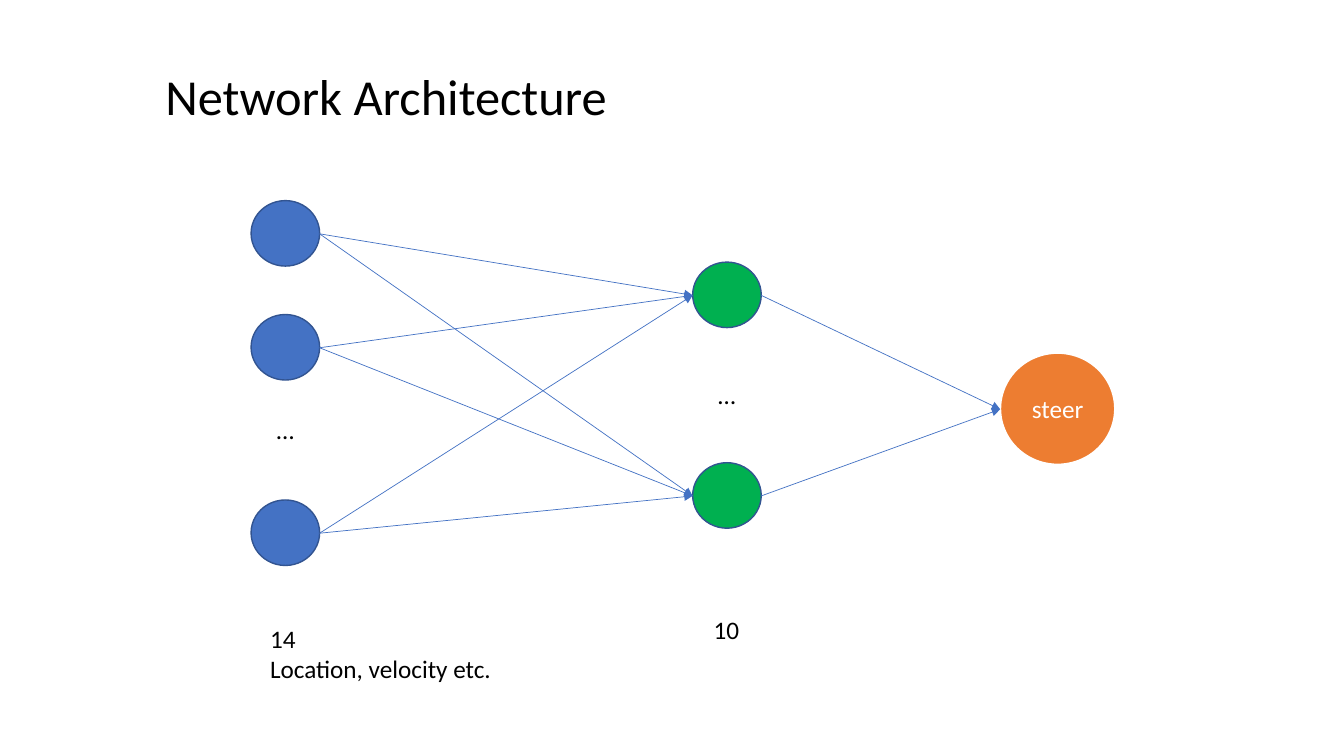
from pptx import Presentation
from pptx.dml.color import RGBColor
from pptx.enum.shapes import MSO_CONNECTOR, MSO_SHAPE
from pptx.enum.text import MSO_ANCHOR, MSO_AUTO_SIZE, PP_ALIGN
from pptx.oxml.ns import qn
from pptx.util import Pt
from lxml import etree

OVAL, RECT = MSO_SHAPE.OVAL, MSO_SHAPE.RECTANGLE
LINE = MSO_CONNECTOR.STRAIGHT
TOP, MID = MSO_ANCHOR.TOP, MSO_ANCHOR.MIDDLE
LEFT, MID_X = PP_ALIGN.LEFT, PP_ALIGN.CENTER

# Content: lengths in px, 100 to the inch
PX = 9144
COLORS = {"blue": "4472C4", "edge": "325491", "green": "00B050",
          "orange": "ED7D31", "white": "FFFFFF", "black": "000000"}
TITLE = ("Network Architecture", (154, 60, 667, 71))
NODE, DOTS, STEER = (68, 65), (114, 62), (114, 111)
# Each layer: left, node tops, top of the dots, fill
LAYERS = [(249, (199, 312, 496), 395, "blue"),
          (687, (260, 459), 360, "green")]
GOAL = ("steer", (992, 350))
NOTES = [(["14", "Location, velocity etc."], (258, 613, 303, 71)),
         (["10"], (698, 605, 68, 40))]


def emu(*nums):
    return [n * PX for n in nums]


def tint(name):
    return RGBColor.from_string(COLORS[name])


def write(shape, lines, size=18, color="black", align=LEFT, anchor=TOP):
    frame = shape.text_frame
    frame.word_wrap = True
    frame.auto_size = MSO_AUTO_SIZE.NONE
    frame.vertical_anchor = anchor
    frame.text = "\n".join(lines)
    for para in frame.paragraphs:
        para.alignment = align
        font = para.runs[0].font
        font.name, font.size = "Calibri", Pt(size)
        font.color.rgb = tint(color)


def draw(kind, box, fill, edge=None, width=1):
    shape = slide.shapes.add_shape(kind, *emu(*box))
    shape.shadow.inherit = False
    shape.fill.solid()
    shape.fill.fore_color.rgb = tint(fill)
    if edge:
        shape.line.color.rgb = tint(edge)
        shape.line.width = Pt(width)
    else:
        shape.line.fill.background()
    return shape


def link(start, end):
    line = slide.shapes.add_connector(LINE, *emu(*start, *end))
    line.line.color.rgb = tint("blue")
    line.line.width = Pt(0.5)
    props = line.line._get_or_add_ln()
    etree.SubElement(props, qn("a:tailEnd"), type="triangle")
    etree.SubElement(line._element.spPr, qn("a:effectLst"))


deck = Presentation()
deck.slide_width, deck.slide_height = emu(1333, 750)
slide = deck.slides.add_slide(deck.slide_layouts[5])

# Title
title = slide.shapes.title
title.left, title.top, title.width, title.height = emu(*TITLE[1])
write(title, [TITLE[0]], size=36)

# Layers of nodes, with dots centred on each column
wide, high = NODE
for left, tops, gap, fill in LAYERS:
    for top in tops:
        draw(OVAL, (left, top, wide, high), fill, "edge")
    dots = draw(RECT, (left + (wide - DOTS[0]) // 2, gap, *DOTS), "white")
    write(dots, ["…"], align=MID_X, anchor=MID)

# Output node
word, spot = GOAL
steer = draw(OVAL, (*spot, *STEER), "orange", "white", 1.5)
write(steer, [word], color="white", align=MID_X, anchor=MID)

# Arrows: every node to every node of the next layer
sides = [(left, left + wide, [top + high // 2 + 1 for top in tops])
         for left, tops, gap, fill in LAYERS]
sides.append((spot[0], spot[0] + STEER[0], [spot[1] + STEER[1] // 2 + 1]))
for (_, out, froms), (into, _, ends) in zip(sides, sides[1:]):
    for end in ends:
        for start in froms:
            link((out, start), (into, end))

# Layer sizes
for lines, box in NOTES:
    write(slide.shapes.add_textbox(*emu(*box)), lines)

deck.save("out.pptx")
